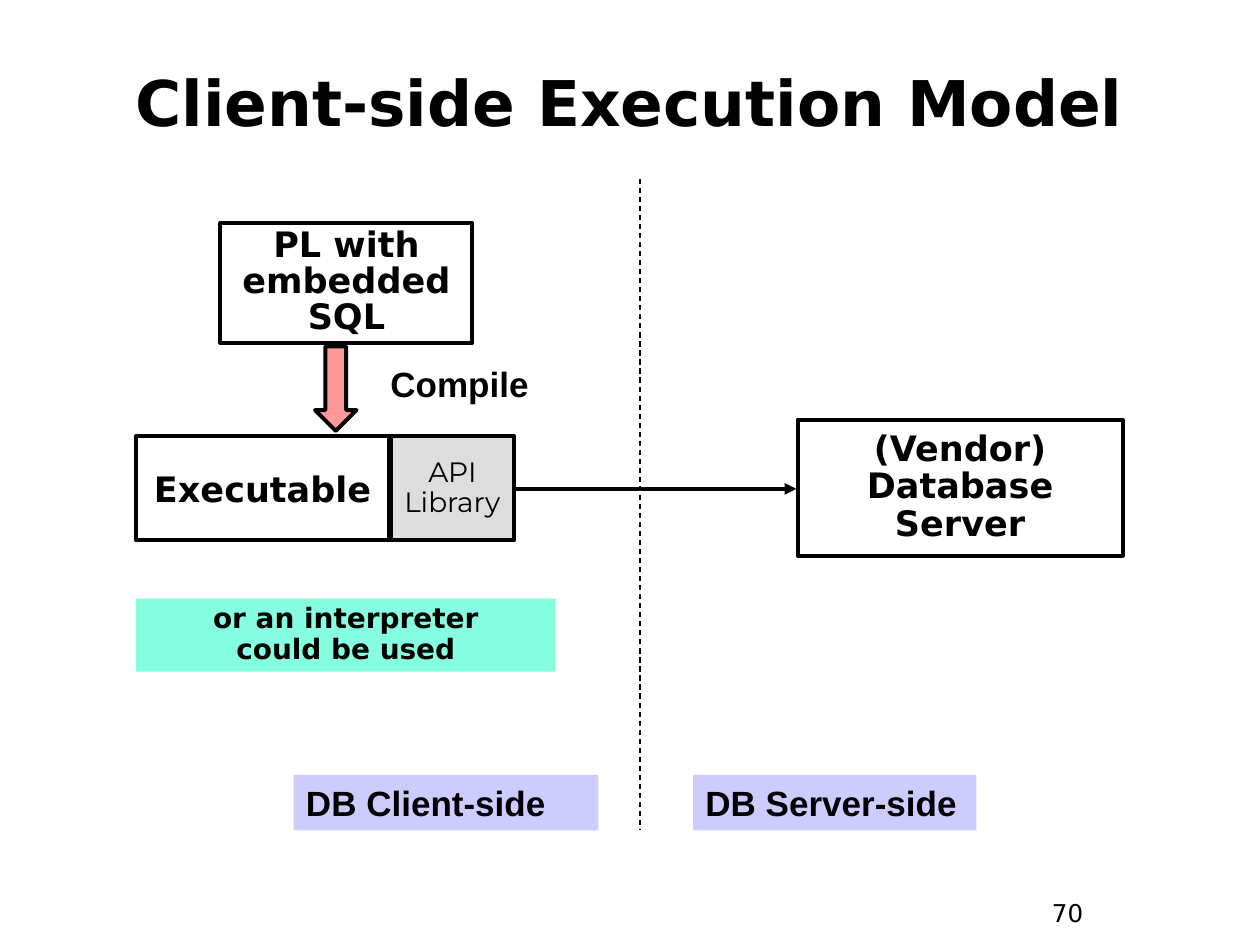
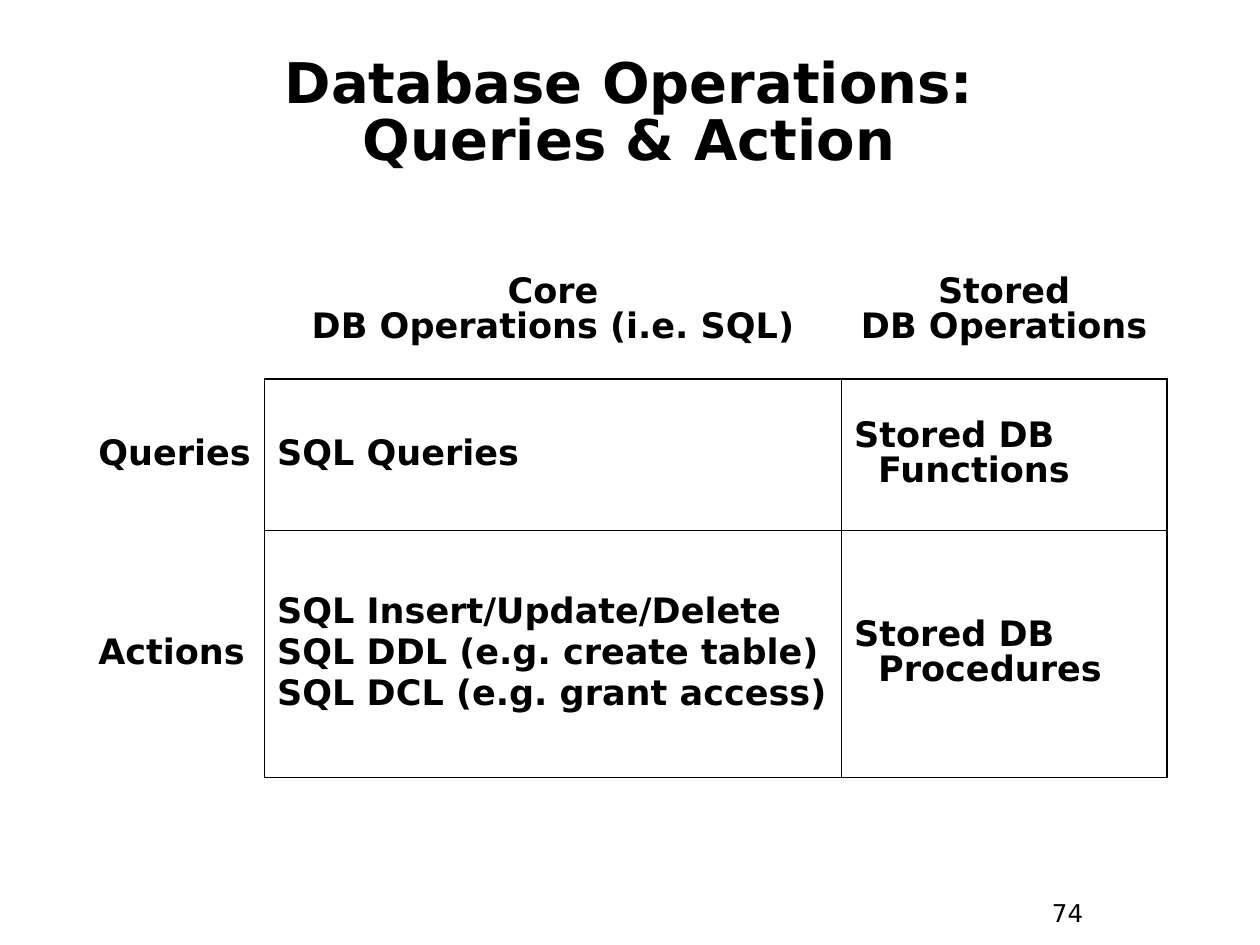
from lxml.etree import SubElement
from pptx import Presentation
from pptx.dml.color import RGBColor
from pptx.enum.dml import MSO_LINE_DASH_STYLE as Dash
from pptx.enum.shapes import MSO_CONNECTOR as Connector, MSO_SHAPE as Shape
from pptx.enum.text import MSO_ANCHOR as Anchor, PP_ALIGN as Align
from pptx.oxml.ns import qn
from pptx.util import Inches, Pt

BLACK = RGBColor(0x00, 0x00, 0x00)
LAVENDER = RGBColor(0xCC, 0xCC, 0xFF)
PINK = RGBColor(0xFF, 0x99, 0x99)
GRAY = RGBColor(0xDD, 0xDD, 0xDD)
MINT = RGBColor(0x85, 0xFF, 0xDF)
MAIN_FONT = "DejaVu Sans"
LABEL_FONT = "Arial"
LIBRARY_FONT = "Montserrat"


def write(frame, texts, size, font=MAIN_FONT, bold=True, align=Align.CENTER,
          spacing=1.0, space_before=0):
    for index, text in enumerate(texts):
        paragraph = frame.add_paragraph() if index else frame.paragraphs[0]
        paragraph.text = text
        paragraph.alignment = align
        paragraph.line_spacing = spacing
        paragraph.space_before = Pt(space_before if index else 0)
        paragraph.font.name = font
        paragraph.font.size = Pt(size)
        paragraph.font.bold = bold
        paragraph.font.color.rgb = BLACK


def add_box(slide, kind, place, fill=None, outlined=False, anchor=Anchor.MIDDLE, wrap=True):
    left, top, width, height = map(Inches, place)
    if kind is None:
        box = slide.shapes.add_textbox(left, top, width, height)
    else:
        box = slide.shapes.add_shape(kind, left, top, width, height)
        box.shadow.inherit = False
        if fill is None:
            box.fill.background()
        else:
            box.fill.solid()
            box.fill.fore_color.rgb = fill
        if outlined:
            box.line.color.rgb = BLACK
            box.line.width = Pt(2.25)
        else:
            box.line.fill.background()
    box.text_frame.word_wrap = wrap
    box.text_frame.vertical_anchor = anchor
    return box


prs = Presentation()
prs.slide_width = Inches(10)
prs.slide_height = Inches(7.5)

slides = []
for title, title_size, title_height, title_spacing, number in [
    ("Client-side Execution Model", 36, 0.61, 1.0, "70"),
    ("Database Operations:\nQueries & Action", 32, 0.83, 0.85, "74"),
]:
    slide = prs.slides.add_slide(prs.slide_layouts[6])
    page_number = add_box(slide, None, (8.25, 7.08, 0.75, 0.37), anchor=Anchor.TOP)
    write(page_number.text_frame, [number], 14, bold=False, align=Align.LEFT)
    heading = add_box(slide, None, (0.33, 0.5, 9.33, title_height))
    write(heading.text_frame, [title], title_size, spacing=title_spacing)
    slides.append(slide)
model_slide, operations_slide = slides

for text, place, fill, spacing, wrap, size, font in [
    ("(Vendor)\nDatabase\nServer", (6.33, 3.33, 2.58, 1.08), None, 0.9, False, 20, MAIN_FONT),
    ("PL with embedded SQL", (1.75, 1.77, 2, 0.95), None, 0.85, True, 20, MAIN_FONT),
    ("Executable", (1.08, 3.46, 2.01, 0.83), None, 1.0, False, 20, MAIN_FONT),
    ("API\nLibrary", (3.1, 3.46, 0.98, 0.83), GRAY, 0.9, False, 16, LIBRARY_FONT),
]:
    component = add_box(model_slide, Shape.RECTANGLE, place, fill, outlined=True, wrap=wrap)
    write(component.text_frame, [text], size, font, bold=font == MAIN_FONT, spacing=spacing)

for text, kind, place, fill in [
    ("DB Client-side", Shape.RECTANGLE, (2.33, 6.15, 2.42, 0.44), LAVENDER),
    ("DB Server-side", Shape.RECTANGLE, (5.5, 6.15, 2.25, 0.44), LAVENDER),
    ("Compile", None, (3, 2.83, 1.75, 0.44), None),
]:
    label = add_box(model_slide, kind, place, fill, anchor=Anchor.TOP)
    write(label.text_frame, [text], 20, LABEL_FONT, align=Align.LEFT)

interpreter = add_box(model_slide, Shape.RECTANGLE, (1.08, 4.75, 3.33, 0.58), MINT,
                      anchor=Anchor.TOP)
write(interpreter.text_frame, ["or an interpreter\ncould be used"], 16, spacing=0.9)
add_box(model_slide, Shape.DOWN_ARROW, (2.5, 2.75, 0.33, 0.67), PINK, outlined=True)

for ends, width, is_call in [
    ((4.08, 3.88, 6.32, 3.88), 2.25, True),
    ((5.08, 1.42, 5.08, 6.58), 0.75, False),
]:
    line = model_slide.shapes.add_connector(Connector.STRAIGHT, *map(Inches, ends))
    line.line.color.rgb = BLACK
    line.line.width = Pt(width)
    if is_call:
        SubElement(line.line._get_or_add_ln(), qn("a:tailEnd"), type="triangle")
    else:
        line.line.dash_style = Dash.DASH
    SubElement(line._element.spPr, qn("a:effectLst"))

operations = [
    [[], ["Core\nDB Operations (i.e. SQL)"], ["Stored\nDB Operations"]],
    [["Queries"], ["SQL Queries"], ["Stored DB\nFunctions"]],
    [["Actions"],
     ["SQL Insert/Update/Delete", "SQL DDL (e.g. create table)", "SQL DCL (e.g. grant access)"],
     ["Stored DB\nProcedures"]],
]
table = operations_slide.shapes.add_table(
    3, 3, Inches(0.68), Inches(1.92), Inches(8.58), Inches(4.25)).table
table.first_row = False
table.horz_banding = False
for column, width in zip(table.columns, [1.42, 4.58, 2.58]):
    column.width = Inches(width)
for row, height in zip(table.rows, [1.09, 1.2, 1.96]):
    row.height = Inches(height)

for r, row_texts in enumerate(operations):
    for c, texts in enumerate(row_texts):
        cell = table.cell(r, c)
        cell.vertical_anchor = Anchor.MIDDLE
        write(cell.text_frame, texts, 20, align=Align.LEFT if r else Align.CENTER,
              spacing=0.85, space_before=3.7)
        if r and c == 2:
            hanging = cell.text_frame.paragraphs[0]._p.get_or_add_pPr()
            hanging.set("marL", str(Inches(0.19)))
            hanging.set("indent", str(-Inches(0.19)))
        properties = cell._tc.get_or_add_tcPr()
        inside = r > 0 and c > 0
        for edge, shown in [("L", inside), ("R", r > 0), ("T", inside), ("B", c > 0)]:
            border = SubElement(properties, qn(f"a:ln{edge}"), w=str(Pt(1.08)))
            if shown:
                paint = SubElement(border, qn("a:solidFill"))
                SubElement(paint, qn("a:srgbClr"), val=str(BLACK))
            else:
                SubElement(border, qn("a:noFill"))
        cell.fill.background()

prs.save("out.pptx")
